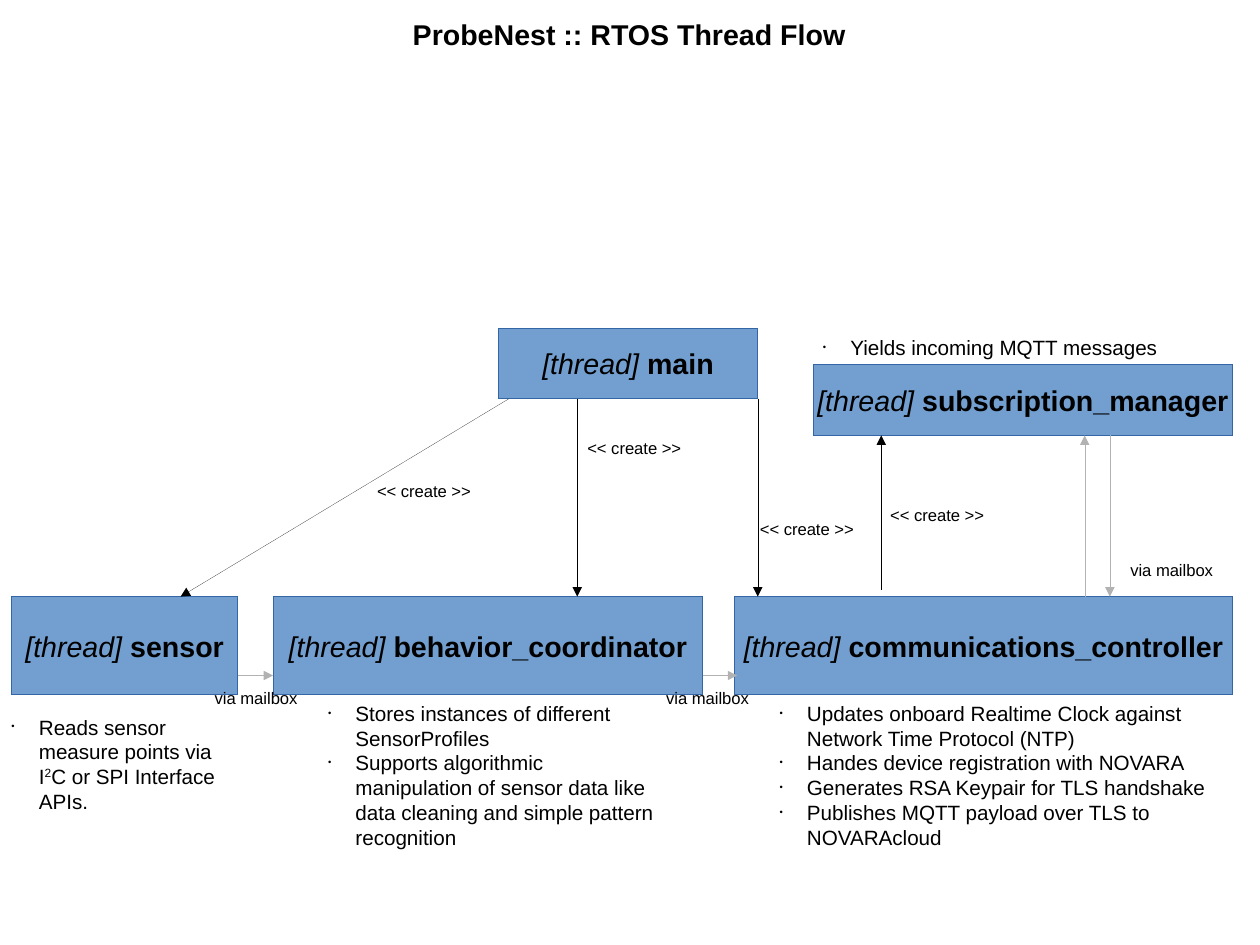
from lxml import etree
from pptx import Presentation
from pptx.dml.color import RGBColor
from pptx.enum.shapes import MSO_CONNECTOR, MSO_SHAPE
from pptx.enum.text import MSO_ANCHOR, MSO_AUTO_SIZE, PP_ALIGN
from pptx.oxml.ns import qn
from pptx.util import Cm, Pt

PX = 9144  # EMU in one px, 100 px to the inch
RECT, LINE = MSO_SHAPE.RECTANGLE, MSO_CONNECTOR.STRAIGHT
TOP, MIDDLE = MSO_ANCHOR.TOP, MSO_ANCHOR.MIDDLE
LEFT, CENTER = PP_ALIGN.LEFT, PP_ALIGN.CENTER
FIXED = MSO_AUTO_SIZE.NONE

BLACK = RGBColor(0, 0, 0)
GRAY = RGBColor(0xB2, 0xB2, 0xB2)
FILL = RGBColor(0x72, 0x9F, 0xCF)
EDGE = RGBColor(0x34, 0x65, 0xA4)

HEAD = {"size": Pt(18), "bold": True, "italic": False}
KIND = {"size": Pt(18), "bold": False, "italic": True}
NOTE = {"size": Pt(13), "bold": False}
TAG = {"size": Pt(10.5)}
INDENT = 24

TITLE = "ProbeNest :: RTOS Thread Flow"
TITLE_BOX = (61, 10, 979, 51)

ROW, ROW_H = 522, 86
TOP_H = 62
MAIN_END, SUB_END = 349, 381
MAIL = 591

THREADS = [
    ("main", (436, 287, 227, TOP_H)),
    ("sensor", (10, ROW, 198, ROW_H)),
    ("behavior_coordinator", (239, ROW, 376, ROW_H)),
    ("communications_controller", (643, ROW, 435, ROW_H)),
    ("subscription_manager", (712, 319, 366, TOP_H)),
]

# Each item is a tuple of runs; every second run is superscript.
LISTS = [
    ((0, 620, 208, 100), [
        ("Reads sensor measure points via I", "2", "C or SPI Interface APIs."),
    ]),
    ((277, 608, 306, 174), [
        ("Stores instances of different SensorProfiles",),
        ("Supports algorithmic manipulation of sensor data like "
         "data cleaning and simple pattern recognition",),
    ]),
    ((672, 608, 396, 151), [
        ("Updates onboard Realtime Clock against Network Time Protocol (NTP)",),
        ("Handes device registration with NOVARA",),
        ("Generates RSA Keypair for TLS handshake",),
        ("Publishes MQTT payload over TLS to NOVARAcloud",),
    ]),
    ((710, 288, 378, 31), [("Yields incoming MQTT messages",)]),
]

ARROWS = {
    BLACK: [
        (445, MAIN_END, 158, ROW),
        (505, MAIN_END, 505, ROW),
        (663, MAIN_END, 663, ROW),
        (771, 516, 771, SUB_END),
    ],
    GRAY: [
        (208, MAIL, 239, MAIL),
        (615, MAIL, 645, MAIL),
        (949, ROW, 949, SUB_END),
        (971, SUB_END, 971, ROW),
    ],
}

TAG_W, TAG_H = 109, 28
TAGS = {
    "<< create >>": [(320, 416), (504, 378), (655, 449), (769, 437)],
    "via mailbox": [(178, 597), (573, 597), (979, 485)],
}


def emu(box):
    return [n * PX for n in box]


def move(shape, box):
    shape.left, shape.top, shape.width, shape.height = emu(box)


def add_run(para, text, look):
    run = para.add_run()
    run.text = text
    run.font.name = "Arial"
    run.font.color.rgb = BLACK
    for key, value in look.items():
        setattr(run.font, key, value)
    return run


def set_frame(shape, anchor=TOP, wrap=True):
    """Set how the text sits in the shape and return its first paragraph."""
    frame = shape.text_frame
    frame.auto_size = FIXED
    frame.vertical_anchor = anchor
    frame.word_wrap = wrap
    return frame.paragraphs[0]


def set_line(shape, color):
    """Draw a hairline: a width of zero has to be written out in the XML."""
    shape.line.color.rgb = color
    line = shape._element.spPr.find(qn("a:ln"))
    line.set("w", "0")
    return line


def add_bullet(para):
    props = para._p.get_or_add_pPr()
    props.set("marL", str(INDENT * PX))
    props.set("indent", str(-INDENT * PX))
    color = etree.SubElement(props, qn("a:buClr"))
    etree.SubElement(color, qn("a:srgbClr"), val=str(BLACK))
    etree.SubElement(props, qn("a:buSzPct"), val="45000")
    etree.SubElement(props, qn("a:buFont"), typeface="Arial")
    etree.SubElement(props, qn("a:buChar"), char="•")


def fill_list(shape, box, items):
    move(shape, box)
    para = set_frame(shape)
    for i, parts in enumerate(items):
        if i:
            para = shape.text_frame.add_paragraph()
        para.alignment = LEFT
        para.space_before = Pt(0)
        add_bullet(para)
        for j, part in enumerate(parts):
            run = add_run(para, part, NOTE)
            if j % 2:
                run.font._element.set("baseline", "33000")


def add_thread(shapes, name, box):
    shape = shapes.add_shape(RECT, *emu(box))
    shape.shadow.inherit = False
    shape.fill.solid()
    shape.fill.fore_color.rgb = FILL
    set_line(shape, EDGE)
    para = set_frame(shape, MIDDLE, False)
    para.alignment = CENTER
    add_run(para, "[thread] ", KIND)
    add_run(para, name, HEAD)


def add_arrow(shapes, ends, color):
    arrow = shapes.add_connector(LINE, *emu(ends))
    line = set_line(arrow, color)
    etree.SubElement(line, qn("a:tailEnd"), type="triangle")
    etree.SubElement(arrow._element.spPr, qn("a:effectLst"))


def main():
    deck = Presentation()
    deck.slide_width, deck.slide_height = Cm(28), Cm(21)
    slide = deck.slides.add_slide(deck.slide_layouts.get_by_name("Comparison"))
    shapes = slide.shapes

    title, *bodies = slide.placeholders
    move(title, TITLE_BOX)
    para = set_frame(title)
    para.alignment = CENTER
    add_run(para, TITLE, HEAD)
    for body, (box, items) in zip(bodies, LISTS):
        fill_list(body, box, items)

    for name, box in THREADS:
        add_thread(shapes, name, box)
    for color, group in ARROWS.items():
        for ends in group:
            add_arrow(shapes, ends, color)
    for text, spots in TAGS.items():
        for spot in spots:
            tag = shapes.add_textbox(*emu((*spot, TAG_W, TAG_H)))
            add_run(set_frame(tag), text, TAG)

    deck.save("out.pptx")


if __name__ == "__main__":
    main()
